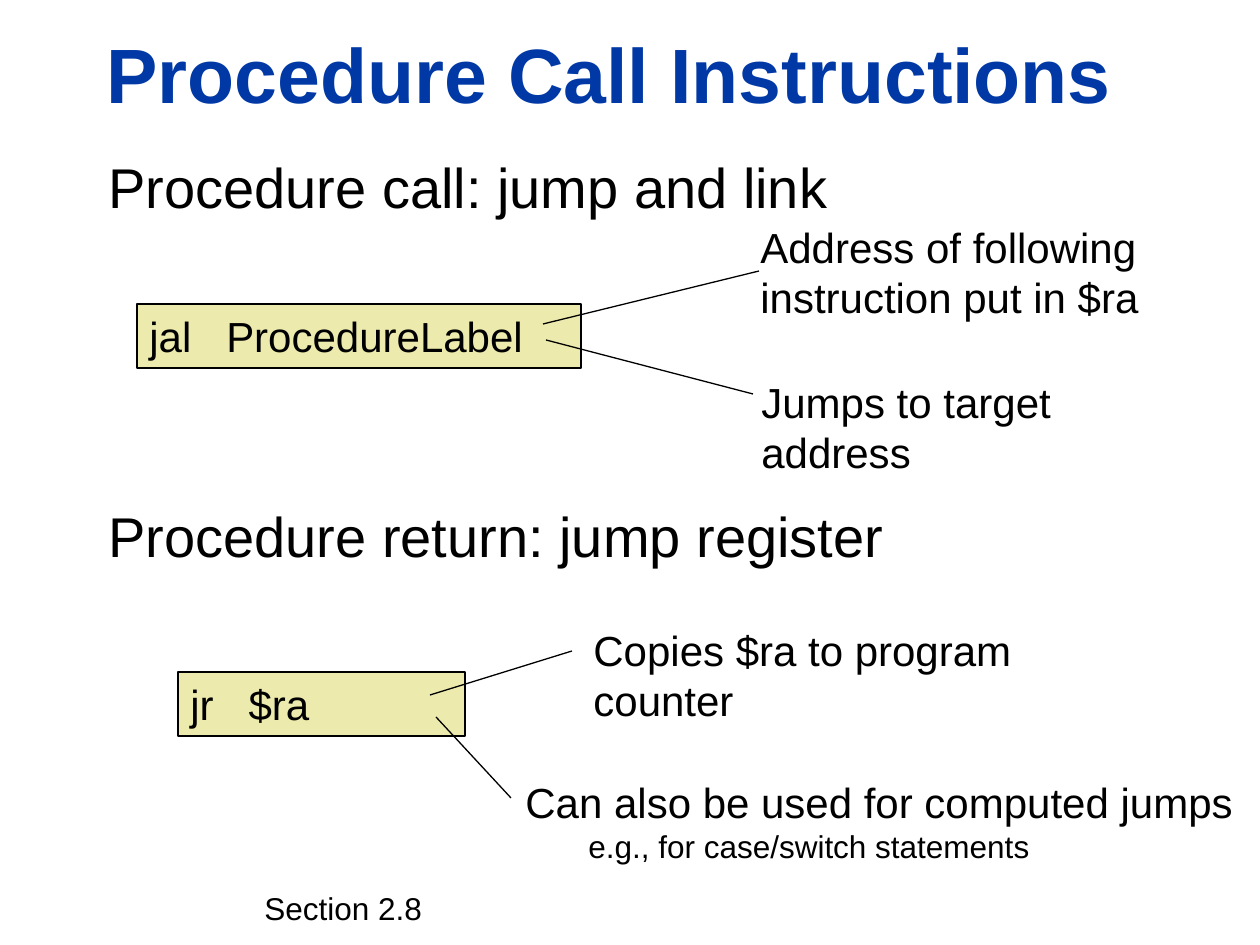
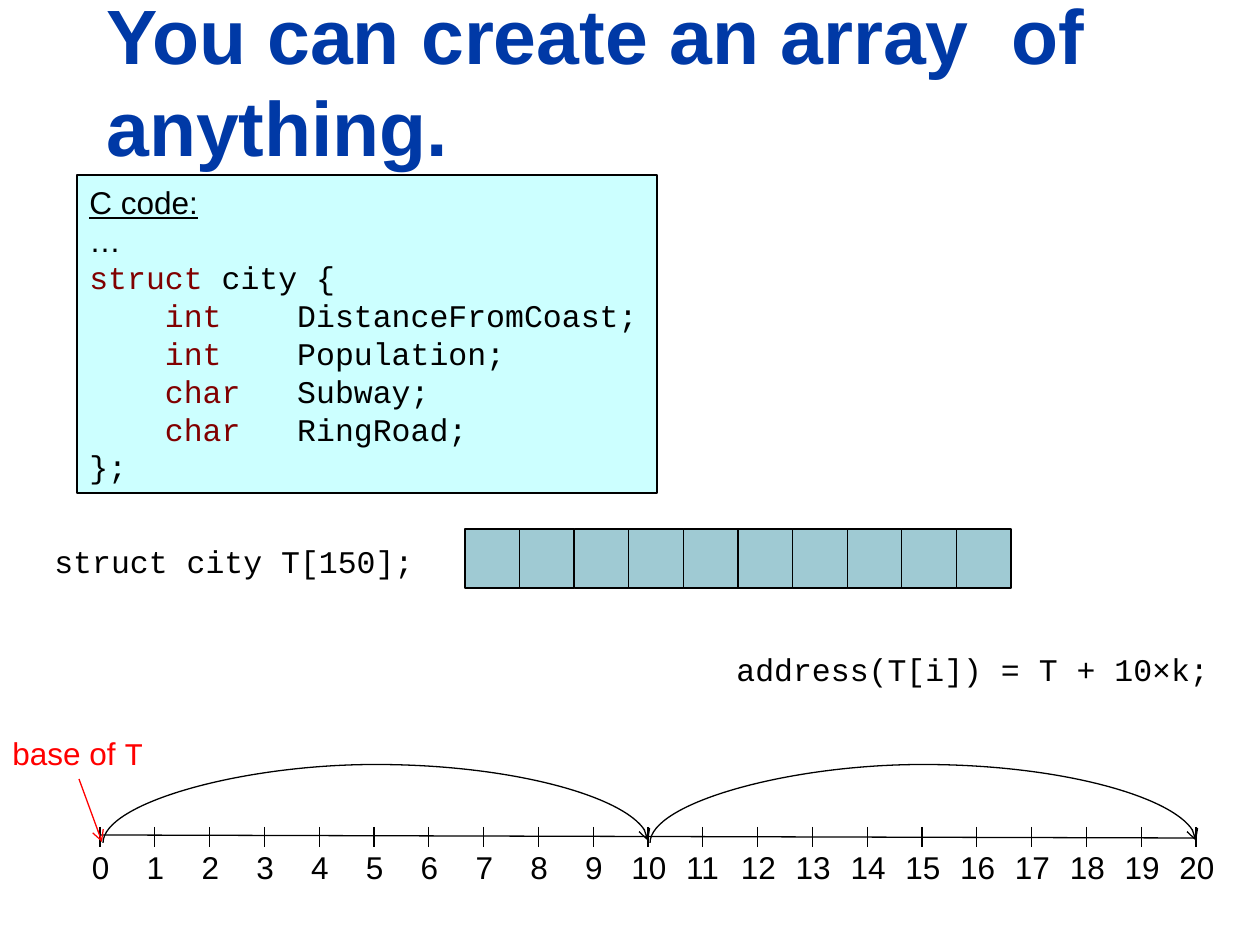
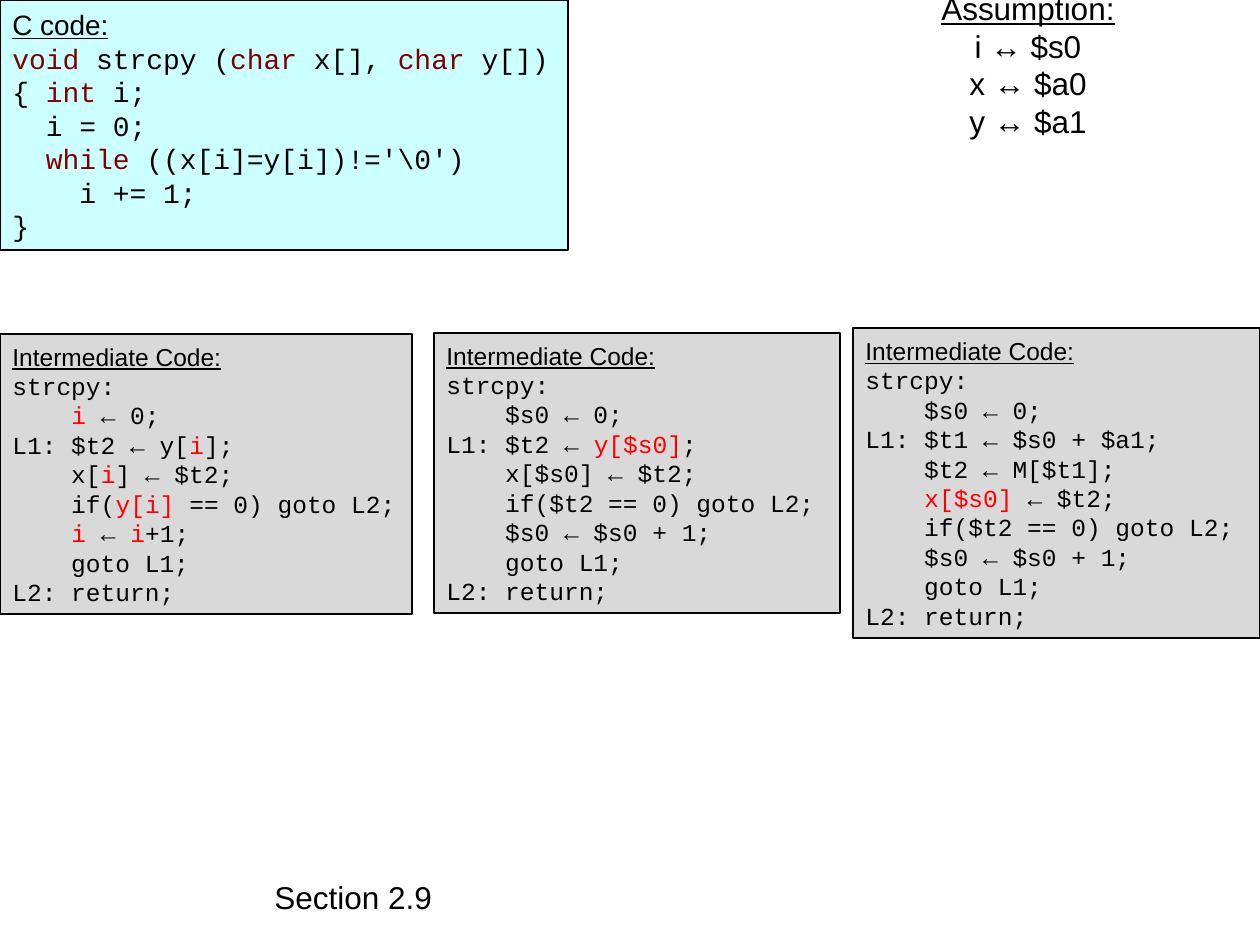
"""Build three slides on procedure calls, arrays of structs and strcpy."""
from lxml import etree
from pptx import Presentation, util as u
from pptx.dml.color import RGBColor
from pptx.enum import shapes, text as t
from pptx.oxml.ns import qn

PX = 914400 / 126
SANS, MONO = "Arial", "Courier New"
BLACK = RGBColor(0, 0, 0)
BLUE = RGBColor(0x00, 0x39, 0xA6)
MAROON = RGBColor(0x80, 0, 0)
RED = RGBColor(0xFF, 0, 0)
SAND = RGBColor(0xEC, 0xEA, 0xAC)
CYAN = RGBColor(0xCC, 0xFF, 0xFF)
TEAL = RGBColor(0x9F, 0xCA, 0xD3)
GREY = RGBColor(0xD9, 0xD9, 0xD9)

HEADINGS = [
    ("Procedure call: jump and link", (96, 146, 752, 81)),
    ("Procedure return: jump register", (96, 495, 827, 81)),
]
INSTRUCTIONS = [
    ("jal   ProcedureLabel", (137, 304, 444, 64)),
    ("jr   $ra", (178, 672, 287, 64)),
]
CALLOUTS = [
    (["Address of following instruction put in $ra"], (685, 215, 630, 115), (543, 324, 759, 271)),
    (["Jumps to target address"], (686, 370, 480, 63), (546, 340, 753, 394)),
    (["Copies $ra to program counter"], (518, 618, 601, 63), (430, 695, 572, 651)),
    (["Can also be used for computed jumps", "e.g., for case/switch statements"],
     (450, 770, 810, 102), (436, 717, 511, 798)),
]
CITY_CODE = [
    "C code:",
    "…",
    "|struct| city {",
    "    |int|    DistanceFromCoast;",
    "    |int|    Population;",
    "    |char|   Subway;",
    "    |char|   RingRoad;",
    "};",
]
STRCPY_CODE = [
    "C code:",
    "|void| strcpy (|char| x[], |char| y[])",
    "{ |int| i;",
    "  i = 0;",
    "  |while| ((x[i]=y[i])!='\\0')",
    "    i += 1;",
    "}",
]
ASSUMPTION = ["Assumption:", "i ↔ $s0", "x ↔ $a0", "y ↔ $a1"]
STEP_START = ["Intermediate Code:", "strcpy:"]
STEP_END = ["    goto L1;", "L2: return;"]
STEPS = [
    ((0, 334, 412, 280), [
        "    |i| ← 0;",
        "L1: $t2 ← y[|i|];",
        "    x[|i|] ← $t2;",
        "    if(|y[i]| == 0) goto L2;",
        "    |i| ← |i|+1;",
    ]),
    ((434, 333, 406, 280), [
        "    $s0 ← 0;",
        "L1: $t2 ← |y[$s0]|;",
        "    x[$s0] ← $t2;",
        "    if($t2 == 0) goto L2;",
        "    $s0 ← $s0 + 1;",
    ]),
    ((853, 328, 407, 310), [
        "    $s0 ← 0;",
        "L1: $t1 ← $s0 + $a1;",
        "    $t2 ← M[$t1];",
        "    |x[$s0]| ← $t2;",
        "    if($t2 == 0) goto L2;",
        "    $s0 ← $s0 + 1;",
    ]),
]

CELLS, CELLS_LEFT, CELLS_WIDTH = 10, 465, 546
TICKS, AXIS_LEFT, AXIS_WIDTH = 20, 100, 1096
ARC_DROP, ARC_RISE = 2, 79


def emu(*lengths):
    return [u.Emu(round(length * PX)) for length in lengths]


def add_text(para, content, face=SANS, size=18, color=BLACK, bold=None, underline=None, accent=None):
    """Write content into para; parts between bars take the accent format."""
    for index, part in enumerate(content.split("|")):
        if not part:
            continue
        span = para.add_run()
        span.text = part
        look = {"face": face, "color": color, **((accent or {}) if index % 2 else {})}
        span.font.name = look["face"]
        span.font.size = u.Pt(size)
        span.font.color.rgb = look["color"]
        span.font.bold = bold
        span.font.underline = underline


def set_frame(box, wrap=False, anchor=t.MSO_ANCHOR.TOP):
    frame = box.text_frame
    frame.word_wrap = wrap
    frame.auto_size = t.MSO_AUTO_SIZE.SHAPE_TO_FIT_TEXT
    frame.vertical_anchor = anchor
    return frame


def add_paragraph(frame, index, align=t.PP_ALIGN.LEFT):
    para = frame.add_paragraph() if index else frame.paragraphs[0]
    para.alignment = align
    return para


def add_label(page, content, place, wrap=False, anchor=t.MSO_ANCHOR.TOP, **look):
    box = page.shapes.add_textbox(*emu(*place))
    add_text(add_paragraph(set_frame(box, wrap, anchor), 0), content, **look)


def add_title(page, content, place):
    add_label(page, content, place, wrap=True, anchor=t.MSO_ANCHOR.BOTTOM, size=44, color=BLUE, bold=True)


def add_panel(page, place, fill):
    panel = page.shapes.add_shape(shapes.MSO_SHAPE.RECTANGLE, *emu(*place))
    panel.shadow.inherit = False
    panel.fill.solid()
    panel.fill.fore_color.rgb = fill
    panel.line.color.rgb = BLACK
    panel.line.width = u.Pt(0.75)
    return panel


def add_listing(box, lines, size, face=MONO, sans_lines=1, align=t.PP_ALIGN.LEFT, accent=MAROON):
    frame = set_frame(box, anchor=t.MSO_ANCHOR.MIDDLE)
    for index, line in enumerate(lines):
        add_text(add_paragraph(frame, index, align), line, size=size,
                 face=SANS if index < sans_lines else face,
                 underline=index == 0, accent={"color": accent})


def add_line(page, ends, color=BLACK, arrow=False, kind=shapes.MSO_CONNECTOR.STRAIGHT):
    line = page.shapes.add_connector(kind, *emu(*ends))
    line.line.color.rgb = color
    line.line.width = u.Pt(0.75)
    if arrow:
        etree.SubElement(line.line._get_or_add_ln(), qn("a:tailEnd"), type="arrow")
    etree.SubElement(line._element.spPr, qn("a:effectLst"))
    return line


def add_arc(page, left, right, bottom):
    """Draw a curved connector turned a quarter so that it rises over the axis."""
    middle, center, half = (left + right) / 2, bottom - ARC_DROP / 2, (right - left) / 2
    ends = (middle - ARC_DROP / 2, center - half, middle + ARC_DROP / 2, center + half)
    arc = add_line(page, ends, arrow=True, kind=shapes.MSO_CONNECTOR.CURVE)
    props = arc._element.spPr
    for key, value in {"rot": "5400000", "flipH": "1", "flipV": "1"}.items():
        props.find(qn("a:xfrm")).set(key, value)
    geometry = props.find(qn("a:prstGeom"))
    guides = geometry.find(qn("a:avLst"))
    if guides is None:
        guides = etree.SubElement(geometry, qn("a:avLst"))
    etree.SubElement(guides, qn("a:gd"), name="adj1", fmla=f"val {ARC_RISE * 100000 // ARC_DROP}")


def build_calls(page):
    add_title(page, "Procedure Call Instructions", (94, 20, 1138, 105))
    for content, place in INSTRUCTIONS:
        frame = set_frame(add_panel(page, place, SAND), wrap=True)
        add_text(add_paragraph(frame, 0), content, size=24)
    for content, place in HEADINGS:
        add_label(page, content, place, size=32)
    for lines, place, ends in CALLOUTS:
        frame = set_frame(page.shapes.add_textbox(*emu(*place)), wrap=True)
        for index, line in enumerate(lines):
            para = add_paragraph(frame, index)
            para.level = index + 1
            para._p.get_or_add_pPr().set("marL", str(u.Inches(0.5) * para.level))
            add_text(para, line, size=18 if index else 24)
        add_line(page, ends)
    add_label(page, "Section 2.8", (252, 883, 185, 50))


def build_array(page):
    add_title(page, "You can create an array  of anything.", (94, -21, 1138, 199))
    add_listing(add_panel(page, (77, 175, 580, 318), CYAN), CITY_CODE, 18, sans_lines=2)
    add_label(page, " struct city T[150];", (23, 536, 407, 50), face=MONO)
    cell = CELLS_WIDTH / CELLS
    for index in range(CELLS):
        add_panel(page, (CELLS_LEFT + index * cell, 529, cell, 59), TEAL)
    add_line(page, (AXIS_LEFT, 835, AXIS_LEFT + AXIS_WIDTH, 838))
    for number in range(TICKS + 1):
        x = AXIS_LEFT + number * AXIS_WIDTH / TICKS
        width = 43 if number < 10 else 60
        add_line(page, (x, 827, x, 847))
        add_label(page, str(number), (x + 1 - width / 2, 842, width, 50))
    add_label(page, "base of |T|", (0, 728, 158, 50), color=RED, accent={"face": MONO})
    add_line(page, (79, 779, 102, 842), color=RED, arrow=True)
    add_arc(page, 103, 648, 843)
    add_arc(page, 650, 1196, 843)
    add_label(page, "address(T[i]) = T + 10×k;", (724, 644, 503, 50), face=MONO)


def build_strcpy(page):
    add_listing(add_panel(page, (0, 0, 568, 250), CYAN), STRCPY_CODE, 16)
    assumption = page.shapes.add_textbox(*emu(927, -18, 202, 165))
    add_listing(assumption, ASSUMPTION, 18, face=SANS, align=t.PP_ALIGN.CENTER)
    for place, lines in STEPS:
        add_listing(add_panel(page, place, GREY), STEP_START + lines + STEP_END, 14, accent=RED)
    add_label(page, "Section 2.9", (262, 872, 185, 50))


def main():
    deck = Presentation()
    deck.slide_width, deck.slide_height = emu(1260, 945)
    for build in (build_calls, build_array, build_strcpy):
        build(deck.slides.add_slide(deck.slide_layouts[6]))
    deck.save("out.pptx")


if __name__ == "__main__":
    main()
